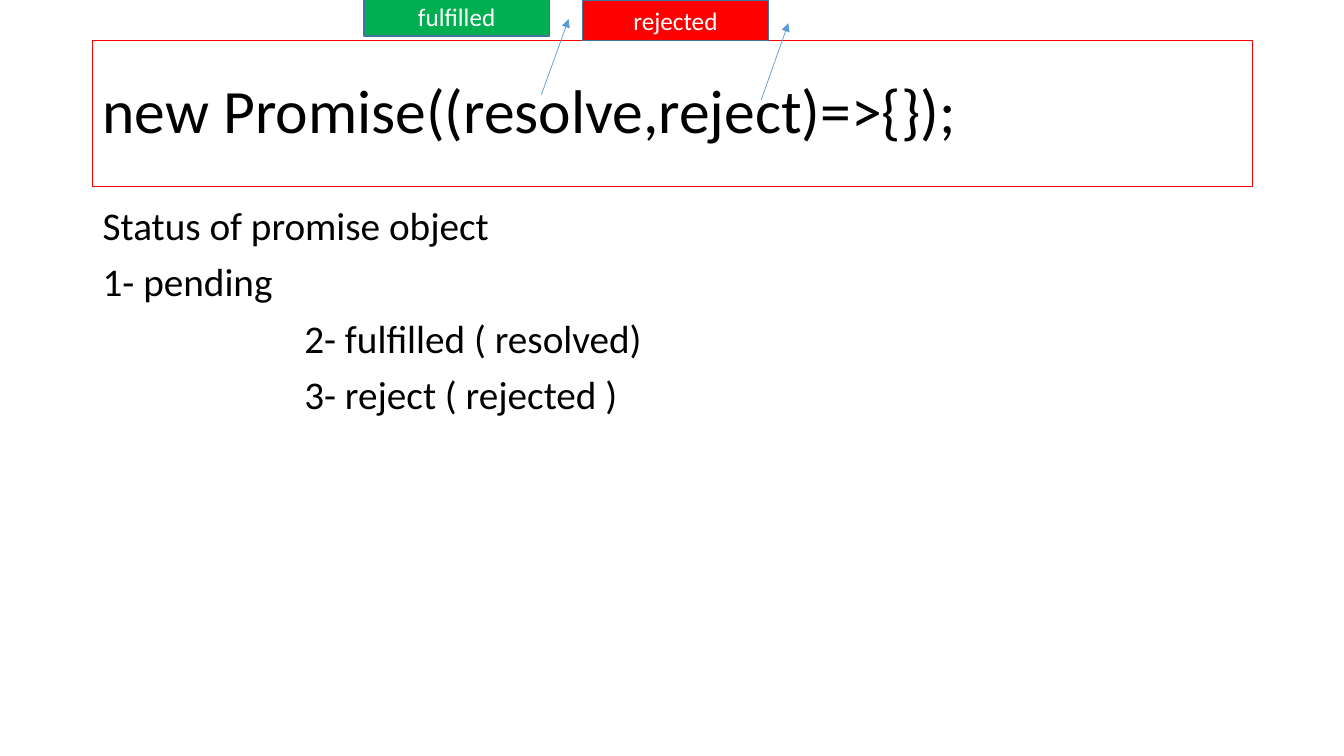
"""Build a slide on the Promise constructor and the states of a promise."""
from pptx import Presentation
from pptx.dml.color import RGBColor
from pptx.enum.shapes import MSO_CONNECTOR, MSO_SHAPE
from pptx.enum.text import MSO_ANCHOR, PP_ALIGN
from pptx.oxml.ns import qn
from pptx.util import Inches, Pt
from lxml import etree

RECTANGLE = MSO_SHAPE.RECTANGLE
STRAIGHT = MSO_CONNECTOR.STRAIGHT
MIDDLE, TOP = MSO_ANCHOR.MIDDLE, MSO_ANCHOR.TOP
LEFT, CENTER = PP_ALIGN.LEFT, PP_ALIGN.CENTER
BLACK = RGBColor(0x00, 0x00, 0x00)
WHITE = RGBColor(0xFF, 0xFF, 0xFF)
RED = RGBColor(0xFF, 0x00, 0x00)
GREEN = RGBColor(0x00, 0xB0, 0x50)
BLUE = RGBColor(0x5B, 0x9B, 0xD5)
DARK_BLUE = RGBColor(0x43, 0x73, 0x9E)


def write(shape, lines, anchor, font, layout):
    """Fill a shape with (text, indent) lines in one format."""
    frame = shape.text_frame
    frame.word_wrap = True
    frame.vertical_anchor = anchor
    for index, (text, indent) in enumerate(lines):
        paragraph = frame.paragraphs[0] if index == 0 else frame.add_paragraph()
        run = paragraph.add_run()
        run.text = text
        for name, value in layout.items():
            setattr(paragraph, name, value)
        if indent:
            paragraph._p.get_or_add_pPr().set("marL", str(Inches(indent)))
        run.font.color.rgb = font["color"]
        run.font.size = Pt(font["size"])
        run.font.name = "Calibri"


presentation = Presentation()
presentation.slide_width = Inches(13.33)
presentation.slide_height = Inches(7.5)
slide = presentation.slides.add_slide(presentation.slide_layouts[6])

title = slide.shapes.add_textbox(Inches(0.92), Inches(0.4), Inches(11.5), Inches(1.45))
title.line.color.rgb = RED
title.line.width = Pt(0.75)
write(title, [("new Promise((resolve,reject)=>{});", 0)], MIDDLE,
      {"size": 44, "color": BLACK}, {"alignment": LEFT, "line_spacing": 0.9})

states = [
    ("Status of promise object", 0),
    ("1- pending", 0),
    ("2- fulfilled ( resolved)", 2),
    ("3- reject ( rejected )", 2),
]
body = slide.shapes.add_textbox(Inches(0.92), Inches(2), Inches(11.5), Inches(4.76))
write(body, states, TOP, {"size": 28, "color": BLACK},
      {"alignment": LEFT, "line_spacing": 0.9, "space_before": Pt(10)})

outcomes = [
    ("fulfilled", GREEN, 3.61, -0.04, (5.37, 0.94, 5.64, 0.19)),
    ("rejected", RED, 5.78, 0, (7.55, 0.99, 7.82, 0.23)),
]
for label, color, left, top, ends in outcomes:
    arrow = slide.shapes.add_connector(STRAIGHT, *[Inches(end) for end in ends])
    arrow.line.color.rgb = BLUE
    arrow.line.width = Pt(0.5)
    etree.SubElement(arrow.line._get_or_add_ln(), qn("a:tailEnd"), type="triangle")
    etree.SubElement(arrow._element.spPr, qn("a:effectLst"))

    box = slide.shapes.add_shape(RECTANGLE, Inches(left), Inches(top), Inches(1.84), Inches(0.4))
    box.shadow.inherit = False
    box.fill.solid()
    box.fill.fore_color.rgb = color
    box.line.color.rgb = DARK_BLUE
    box.line.width = Pt(1)
    write(box, [(label, 0)], MIDDLE, {"size": 18, "color": WHITE}, {"alignment": CENTER})

presentation.save("out.pptx")
